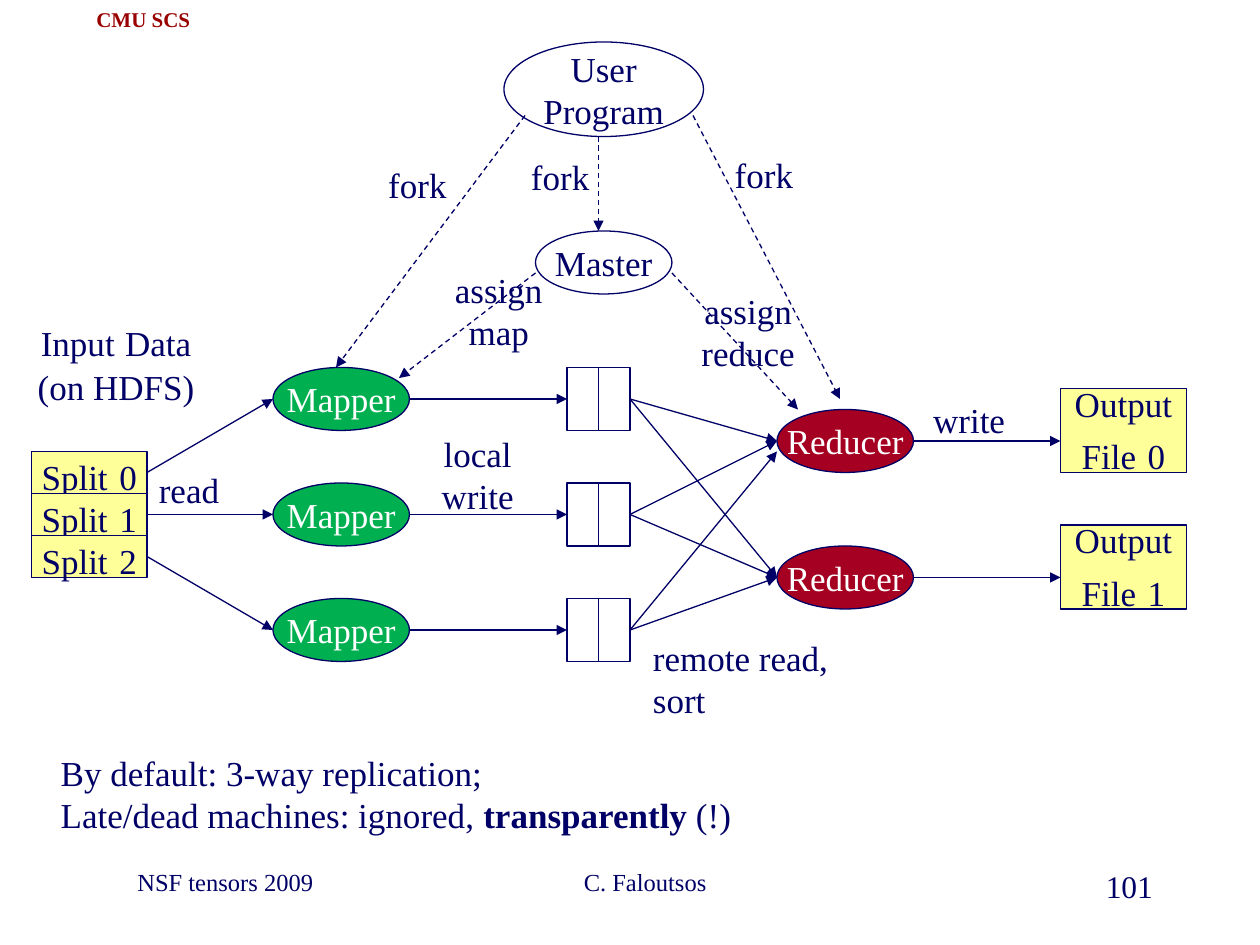
from lxml import etree
from pptx import Presentation
from pptx.dml.color import RGBColor
from pptx.enum.dml import MSO_LINE_DASH_STYLE as DASH
from pptx.enum.shapes import MSO_CONNECTOR, MSO_SHAPE
from pptx.enum.text import MSO_ANCHOR, MSO_AUTO_SIZE, PP_ALIGN
from pptx.oxml.ns import qn
from pptx.util import Emu, Pt

PX = 7620  # EMU per px, 120 px to the inch
FONT = "Times New Roman"
NAVY = RGBColor(0x00, 0x00, 0x66)
RED = RGBColor(0x99, 0x00, 0x00)
CRIMSON = RGBColor(0xA5, 0x00, 0x21)
GREEN = RGBColor(0x00, 0xB0, 0x50)
YELLOW = RGBColor(0xFF, 0xFF, 0x99)
WHITE = RGBColor(0xFF, 0xFF, 0xFF)

LEFT, CENTER, RIGHT = PP_ALIGN.LEFT, PP_ALIGN.CENTER, PP_ALIGN.RIGHT
GAP = (" ", {"size": Pt(26), "bold": True})  # wide space before a number
SANS_GAP = (" ", {"size": Pt(26), "bold": True, "name": "Calibri"})

MAPPER_YS = [380, 490, 600]  # row centres
REDUCER_YS = [420, 550]


def px(*values):
    return [Emu(v * PX) for v in values]


def write(tf, paragraphs, align=CENTER, indent=0, wrap=False, **fmt):
    """Fill a text frame; a paragraph is a string or a list of runs."""
    tf.word_wrap = wrap
    base = {"name": FONT, "size": Pt(20), "bold": False, "color": NAVY} | fmt
    for i, runs in enumerate(paragraphs):
        p = tf.paragraphs[0] if i == 0 else tf.add_paragraph()
        p.alignment = align
        if indent:
            p._p.get_or_add_pPr().set("marL", str(indent * PX))
        for run in [runs] if isinstance(runs, str) else runs:
            text, extra = (run, {}) if isinstance(run, str) else run
            r = p.add_run()
            r.text = text
            for key, value in (base | extra).items():
                if key == "color":
                    r.font.color.rgb = value
                else:
                    setattr(r.font, key, value)


def add_label(slide, box, *paragraphs, grow=True, anchor=MSO_ANCHOR.TOP, **fmt):
    tf = slide.shapes.add_textbox(*px(*box)).text_frame
    write(tf, paragraphs, **fmt)
    tf.vertical_anchor = anchor
    tf.auto_size = MSO_AUTO_SIZE.SHAPE_TO_FIT_TEXT if grow else MSO_AUTO_SIZE.NONE


def add_node(slide, kind, box, *paragraphs, fill=None, color=NAVY):
    sp = slide.shapes.add_shape(kind, *px(*box))
    sp.shadow.inherit = False
    if fill is None:
        sp.fill.background()
    else:
        sp.fill.solid()
        sp.fill.fore_color.rgb = fill
    sp.line.color.rgb = NAVY
    sp.line.width = Pt(0.75)
    if paragraphs:
        tf = sp.text_frame
        tf.vertical_anchor = MSO_ANCHOR.MIDDLE
        write(tf, paragraphs, color=color)


def add_oval(slide, box, *paragraphs, **style):
    add_node(slide, MSO_SHAPE.OVAL, box, *paragraphs, **style)


def add_box(slide, box, *paragraphs, **style):
    add_node(slide, MSO_SHAPE.RECTANGLE, box, *paragraphs, **style)


def add_arrow(slide, x1, y1, x2, y2, dashed=False):
    line = slide.shapes.add_connector(MSO_CONNECTOR.STRAIGHT, *px(x1, y1, x2, y2))
    line.line.color.rgb = NAVY
    line.line.width = Pt(0.75)
    if dashed:
        line.line.dash_style = DASH.DASH
    etree.SubElement(line.line._get_or_add_ln(), qn("a:tailEnd"), type="triangle")
    etree.SubElement(line._element.spPr, qn("a:effectLst"))


def add_control(slide):
    """User program and master, with their dashed control arrows."""
    add_oval(slide, (480, 40, 190, 90), "User", "Program")
    add_oval(slide, (510, 220, 130, 60), "Master")
    for ends in [(570, 130, 570, 220), (500, 110, 320, 350), (660, 110, 800, 380),
                 (510, 260, 380, 360), (640, 260, 760, 390)]:
        add_arrow(slide, *ends, dashed=True)
    for x, y in [(356, 150), (492, 142), (686, 140)]:
        add_label(slide, (x, y, 83, 53), "fork")
    add_label(slide, (400, 250, 150, 92), "assign", "map", wrap=True)
    add_label(slide, (654, 270, 117, 92), "assign", "reduce")


def add_map_stage(slide):
    """Input splits, mappers and their local files."""
    for i, y in enumerate(MAPPER_YS):
        split_y = 450 + 40 * i
        add_box(slide, (30, split_y - 20, 110, 40), ["Split", GAP, str(i)], fill=YELLOW)
        add_oval(slide, (260, y - 30, 130, 60), "Mapper", fill=GREEN, color=WHITE)
        for x in (540, 570):
            add_box(slide, (x, y - 30, 30, 60))
        add_arrow(slide, 140, split_y, 260, y)
        add_arrow(slide, 390, y, 540, y)
    add_label(slide, (22, 290, 177, 104), ["Input", SANS_GAP, "Data"], "(on HDFS)")
    add_label(slide, (137, 440, 86, 53), "read")
    add_label(slide, (407, 406, 96, 92), "local", "write")


def add_reduce_stage(slide):
    """Shuffle arrows, reducers and output files."""
    for i, y in enumerate(REDUCER_YS):
        add_oval(slide, (740, y - 30, 130, 60), "Reducer", fill=CRIMSON, color=WHITE)
        add_box(slide, (1010, y - 50, 120, 80), "Output", ["File", GAP, str(i)],
                fill=YELLOW)
        add_arrow(slide, 870, y, 1010, y)
        for source in MAPPER_YS:
            # The longest upward arrow lands just below the others
            drop = 10 if source - y > 100 else 0
            add_arrow(slide, 600, source, 740, y + drop)
    add_label(slide, (610, 600, 210, 92), "remote read,", "sort", align=LEFT, wrap=True)
    add_label(slide, (875, 374, 96, 53), "write")


def add_notes_and_footer(slide):
    add_label(slide, (78, 0, 117, 36), "CMU SCS", anchor=MSO_ANCHOR.MIDDLE,
              size=Pt(12), bold=True, color=RED)
    add_label(slide, (46, 710, 835, 92), "By default: 3-way replication;",
              ["Late/dead machines: ignored, ", ("transparently", {"bold": True}), " (!)"],
              align=LEFT, wrap=True)
    for x, width, text, align, size in [(90, 250, "NSF tensors 2009", LEFT, 14),
                                        (410, 380, "C. Faloutsos", CENTER, 14),
                                        (860, 250, "101", RIGHT, 18)]:
        add_label(slide, (x, 820, width, 60), text, grow=False, align=align,
                  indent=29, wrap=True, size=Pt(size))


def main():
    prs = Presentation()
    prs.slide_width, prs.slide_height = px(1200, 900)
    slide = prs.slides.add_slide(prs.slide_layouts[6])
    add_control(slide)
    add_map_stage(slide)
    add_reduce_stage(slide)
    add_notes_and_footer(slide)
    prs.save("out.pptx")


if __name__ == "__main__":
    main()
